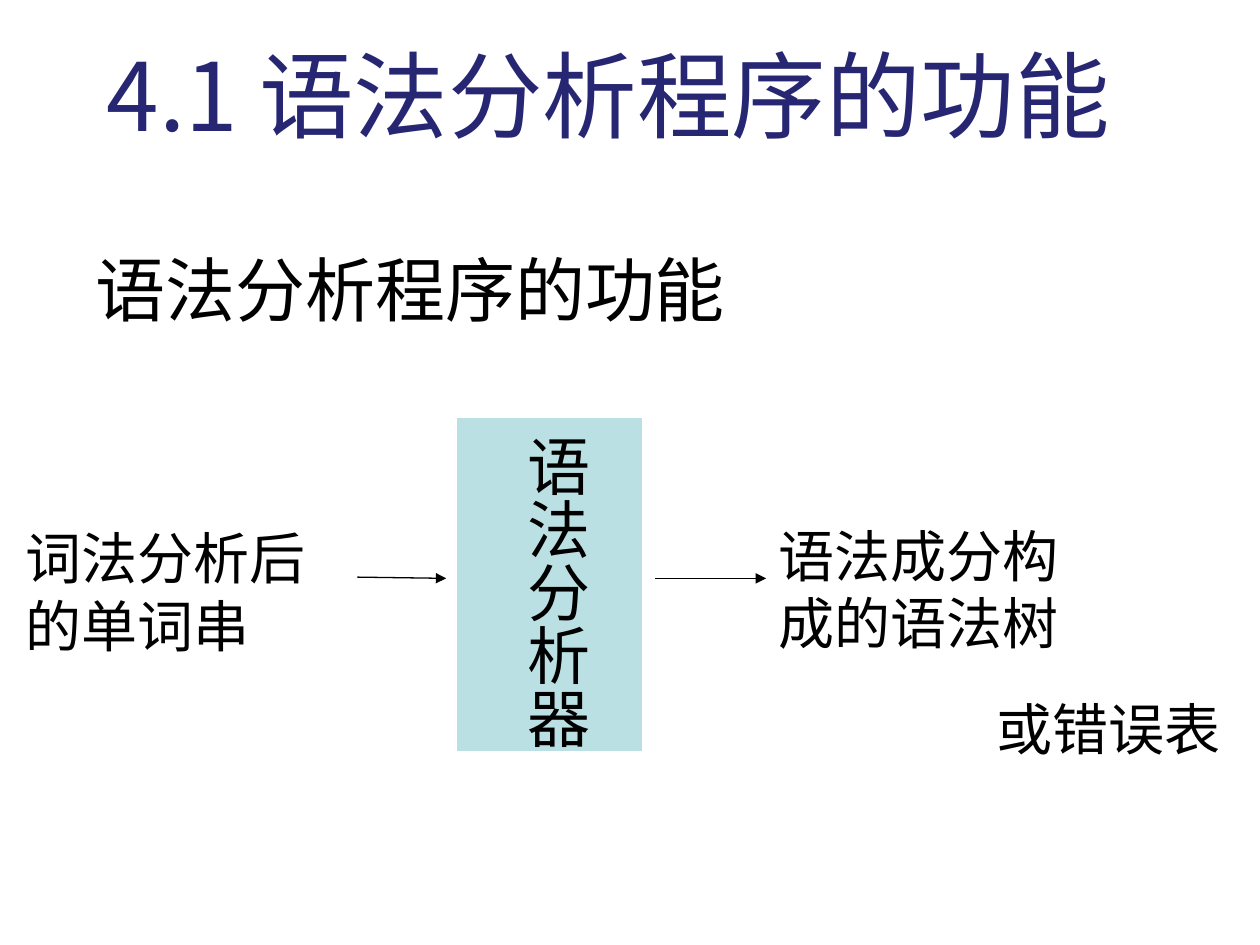
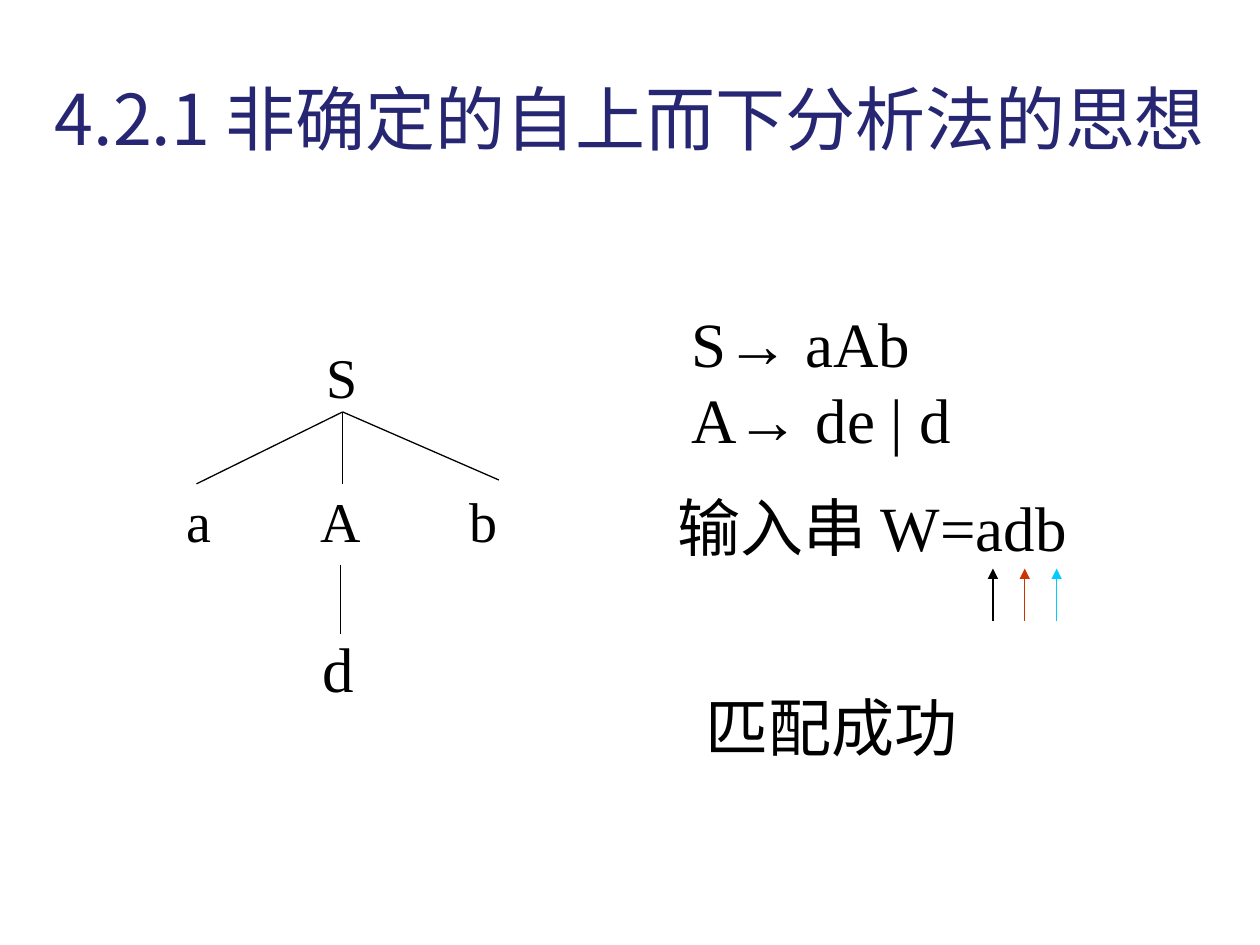
from lxml.etree import SubElement
from pptx import Presentation
from pptx.dml.color import RGBColor
from pptx.enum.shapes import MSO_CONNECTOR as Connector, MSO_SHAPE as Shape
from pptx.enum.text import MSO_ANCHOR as Anchor, PP_ALIGN as Align
from pptx.oxml.ns import qn
from pptx.util import Pt

COLORS = {
    "title": "262673",
    "ink": "000000",
    "block": "BBE0E3",
    "white": "FFFFFF",
    "second": "CC3300",
    "third": "00CCFF",
}
SANS, SERIF, LABEL = "Noto Sans CJK SC", "Times New Roman", "Arial"


def rgb(name):
    return RGBColor.from_string(COLORS[name])


def write(frame, text, size, font, color="ink", align=Align.LEFT,
          wrap=False, spacing=None):
    """Fill a text frame and format its runs."""
    frame.text = text
    frame.word_wrap = wrap
    for paragraph in frame.paragraphs:
        paragraph.alignment = align
        if spacing:
            paragraph.line_spacing = spacing
        for run in paragraph.runs:
            run.font.size = Pt(size)
            run.font.name = font
            run.font.color.rgb = rgb(color)
            if any(char >= "一" for char in text):
                SubElement(run.font._element, qn("a:ea"), typeface=SANS)


def add_text(slide, box, text, size, font, **style):
    frame = slide.shapes.add_textbox(*map(Pt, box)).text_frame
    write(frame, text, size, font, **style)
    return frame


def add_title(slide, box, text, size, align):
    frame = add_text(slide, box, text, size, SANS, color="title",
                     align=align, wrap=True)
    frame.vertical_anchor = Anchor.MIDDLE


def add_block(slide, box, outline=None):
    block = slide.shapes.add_shape(Shape.RECTANGLE, *map(Pt, box))
    block.shadow.inherit = False
    block.fill.solid()
    block.fill.fore_color.rgb = rgb("block")
    if outline:
        block.line.color.rgb = rgb(outline)
        block.line.width = Pt(0.75)
    else:
        block.line.fill.background()
    return block


def add_line(slide, start, end, color="ink", arrow=False):
    line = slide.shapes.add_connector(Connector.STRAIGHT, *map(Pt, start + end))
    line.line.color.rgb = rgb(color)
    line.line.width = Pt(0.75)
    if arrow:
        SubElement(line.line._get_or_add_ln(), qn("a:tailEnd"), type="triangle")
    SubElement(line._element.spPr, qn("a:effectLst"))


def build_function_slide(slide):
    add_title(slide, (54, 8.6, 663, 90), "4.1 语法分析程序的功能", 54, Align.LEFT)
    add_text(slide, (47.5, 132.5, 383, 60.5), "语法分析程序的功能", 40, SANS,
             spacing=1.1)

    # Parser block with its vertical name
    add_block(slide, (260.6, 238.3, 106.6, 191.5), outline="white")
    parser = add_block(slide, (285.8, 241.2, 57.6, 187.2)).text_frame
    parser.margin_left = parser.margin_right = Pt(3.6)
    parser.margin_top = parser.margin_bottom = Pt(7.2)
    parser.vertical_anchor = Anchor.TOP
    write(parser, "语法分析器", 36, SERIF)
    parser._txBody.bodyPr.set("vert", "eaVert")

    # Input and outputs
    add_text(slide, (7.2, 295.9, 206, 84.2), "词法分析后的单词串", 32, LABEL, wrap=True)
    add_text(slide, (437.8, 294.5, 180, 84.2), "语法成分构成的语法树", 32, LABEL, wrap=True)
    add_text(slide, (562.3, 393.1, 142.6, 46), "或错误表", 32, LABEL)
    add_line(slide, (204.2, 329.8), (255, 330.5), arrow=True)
    add_line(slide, (374.4, 330.5), (437.8, 330.5), arrow=True)


def build_top_down_slide(slide):
    add_title(slide, (0, 2.2, 720, 129.6), "4.2.1 非确定的自上而下分析法的思想", 40,
              Align.CENTER)

    # Syntax tree: nodes as name, centre, top, size
    children = [(name, 113.7 + 81.2 * i, 274.3, 32) for i, name in enumerate("aAb")]
    for name, center, top, size in [("S", 195.5, 192.2, 32), *children,
                                    ("d", 193.3, 356.4, 36)]:
        add_text(slide, (center - 20, top, 40, size + 14), name, size, SERIF,
                 align=Align.CENTER)
    root = (195.8, 235.4)
    for child in [(112.3, 276.5), (195.8, 276.5), (285.1, 274.3)]:
        add_line(slide, root, child)
    add_line(slide, (194.4, 322.6), (194.4, 362.2))

    # Grammar, input string and result
    add_text(slide, (388, 170.6, 162.7, 93.6), "S→ aAb\nA→ de | d", 36, SERIF)
    add_text(slide, (380.2, 275.8, 245.5, 50.4), "输入串 W=adb", 36, SERIF)
    add_text(slide, (396, 390.2, 170, 50.4), "匹配成功", 36, SANS, wrap=True)

    # Pointers to the symbols of the input string
    for i, color in enumerate(["ink", "second", "third"]):
        x = 567.4 + 18.2 * i
        add_line(slide, (x, 355), (x, 324.9), color, arrow=True)


def main():
    deck = Presentation()
    deck.slide_width, deck.slide_height = Pt(720), Pt(540)
    blank = deck.slide_layouts[6]
    for build in (build_function_slide, build_top_down_slide):
        build(deck.slides.add_slide(blank))
    deck.save("out.pptx")


if __name__ == "__main__":
    main()
